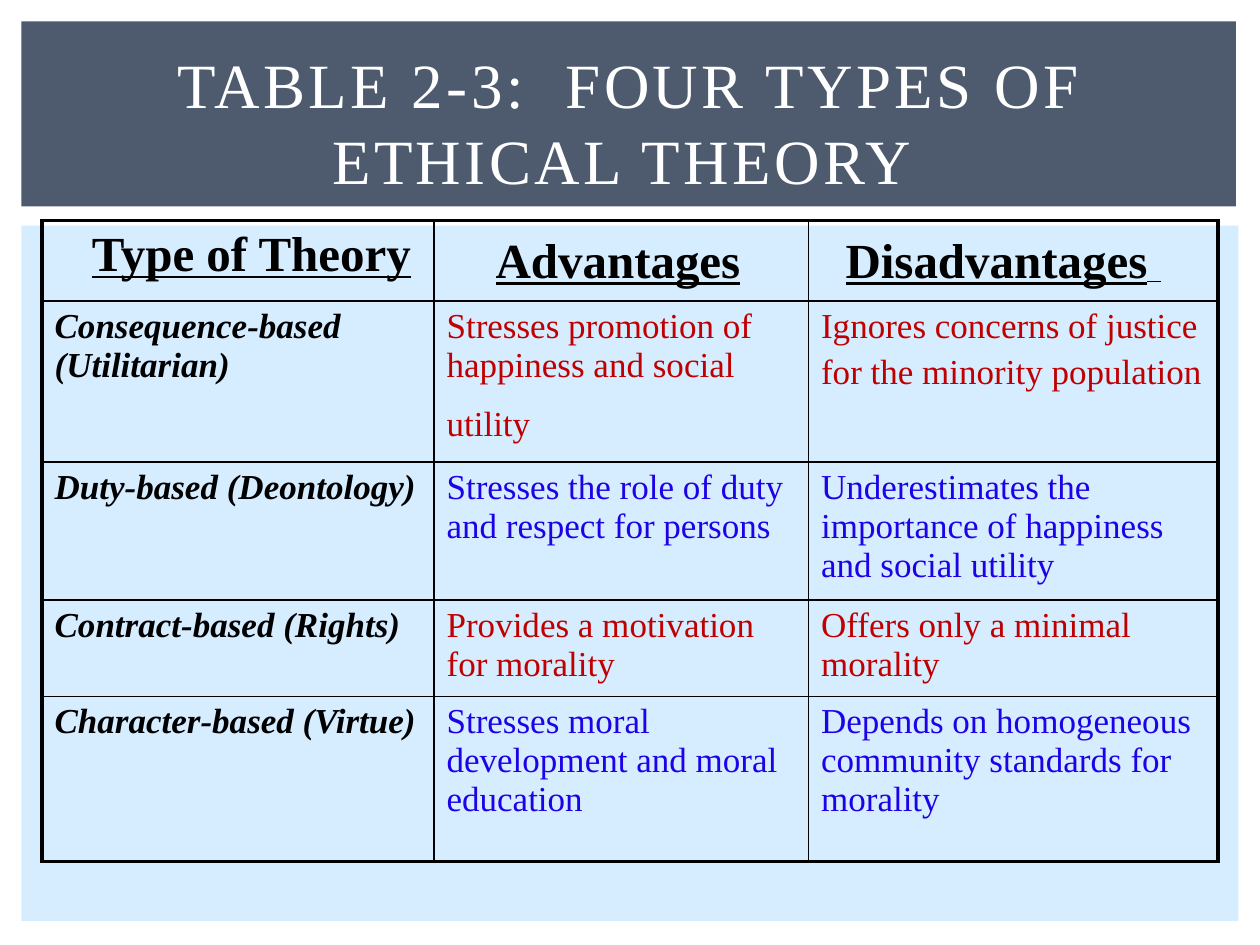
from lxml import etree
from pptx import Presentation
from pptx import util as u
from pptx.dml import color
from pptx.enum import shapes, text
from pptx.oxml import ns

Pt = u.Pt
COLORS = {"slate": "4E5B6F", "sky": "D6ECFF", "white": "FFFFFF",
          "black": "000000", "red": "C00000", "blue": "1D02E8"}
SERIF = "Times New Roman"


def add_text(para, words, size=20, shade="black", font=SERIF,
             bold=False, italic=False, underline=False):
    span = para.add_run()
    span.text = words
    span.font.name = font
    span.font.size = Pt(size)
    span.font.color.rgb = color.RGBColor.from_string(COLORS[shade])
    span.font.bold = bold
    span.font.italic = italic
    span.font.underline = underline
    return span


def add_border(cell, side, width):
    properties = cell._tc.get_or_add_tcPr()
    line = etree.SubElement(properties, ns.qn(f"a:ln{side}"), w=str(Pt(width)))
    fill = etree.SubElement(line, ns.qn("a:solidFill"))
    etree.SubElement(fill, ns.qn("a:srgbClr"), val=COLORS["black"])


deck = Presentation()
deck.slide_width, deck.slide_height = Pt(720), Pt(540)
page = deck.slides.add_slide(deck.slide_layouts[5])

# Background panels
for left, top, width, height, shade in [(12.24, 128.9, 695.5, 397.4, "sky"),
                                        (12.24, 12.24, 694, 105.8, "slate")]:
    panel = page.shapes.add_shape(shapes.MSO_SHAPE.RECTANGLE,
                                  Pt(left), Pt(top), Pt(width), Pt(height))
    panel.shadow.inherit = False
    panel.fill.solid()
    panel.fill.fore_color.rgb = color.RGBColor.from_string(COLORS[shade])
    panel.line.fill.background()

# Title, in front of the panels
title = page.shapes.title
panel.element.addnext(title.element)
title.left, title.top, title.width, title.height = Pt(30.2), Pt(28), Pt(660), Pt(82.8)
title.text_frame.word_wrap = True
title.text_frame.auto_size = text.MSO_AUTO_SIZE.NONE
title.text_frame.vertical_anchor = text.MSO_ANCHOR.MIDDLE
heading = title.text_frame.paragraphs[0]
heading.alignment = text.PP_ALIGN.CENTER
span = add_text(heading, "TABLE 2-3:  FOUR TYPES OF ETHICAL THEORY ", size=36, shade="white")
span.font._element.set("spc", "200")

# Table grid
column_widths = [224, 214, 234]
row_heights = [46, 92, 79, 55, 94.5]
frame = page.shapes.add_table(len(row_heights), len(column_widths), Pt(24), Pt(126),
                              Pt(sum(column_widths)), Pt(sum(row_heights)))
table = frame.table
table.first_row = table.horz_banding = False
for column, width in zip(table.columns, column_widths):
    column.width = Pt(width)
for row, height in zip(table.rows, row_heights):
    row.height = Pt(height)

# Heavy outer frame, thin inner rules, no cell fill
last_row, last_column = len(row_heights) - 1, len(column_widths) - 1
for r, row in enumerate(table.rows):
    for c, cell in enumerate(row.cells):
        outer_sides = {"L": c == 0, "R": c == last_column, "T": r == 0, "B": r == last_row}
        for side, outer in outer_sides.items():
            add_border(cell, side, 2.25 if outer else 1)
        cell.fill.background()

# Header row: label, left margin, size of the closing space, whether it is underlined
headers = [("Type of Theory", 28.5, 28, False),
           ("Advantages", 35.2, 32, False),
           ("Disadvantages", 21.2, 32, True)]
for cell, (label, margin, space_size, underlined) in zip(table.rows[0].cells, headers):
    cell.margin_left = Pt(margin)
    para = cell.text_frame.paragraphs[0]
    add_text(para, label, size=28, bold=True, underline=True)
    add_text(para, " ", size=space_size, font="Karla", bold=True, underline=underlined)

# Theory rows, alternating red and blue
theories = [
    ("Consequence-based (Utilitarian)",
     "Stresses promotion of happiness and social utility",
     "Ignores concerns of justice\nfor the minority population"),
    ("Duty-based (Deontology)",
     "Stresses the role of duty and respect for persons",
     "Underestimates the importance of happiness and social utility"),
    ("Contract-based (Rights)",
     "Provides a motivation for morality",
     "Offers only a minimal morality"),
    ("Character-based (Virtue)",
     "Stresses moral development and moral education",
     "Depends on homogeneous community standards for morality"),
]
for r, theory in enumerate(theories, start=1):
    for c, words in enumerate(theory):
        body = table.cell(r, c).text_frame
        for i, line in enumerate(words.split("\n")):
            para = body.add_paragraph() if i else body.paragraphs[0]
            para.space_before = Pt(4 if i else 0)
            if c == 0:
                add_text(para, line, bold=True, italic=True)
            else:
                add_text(para, line, shade="red" if r % 2 else "blue")

# A larger closing space opens up the last line of the first advantage
add_text(table.cell(1, 1).text_frame.paragraphs[0], " ", size=32, shade="red", font="Karla")

deck.save("out.pptx")
